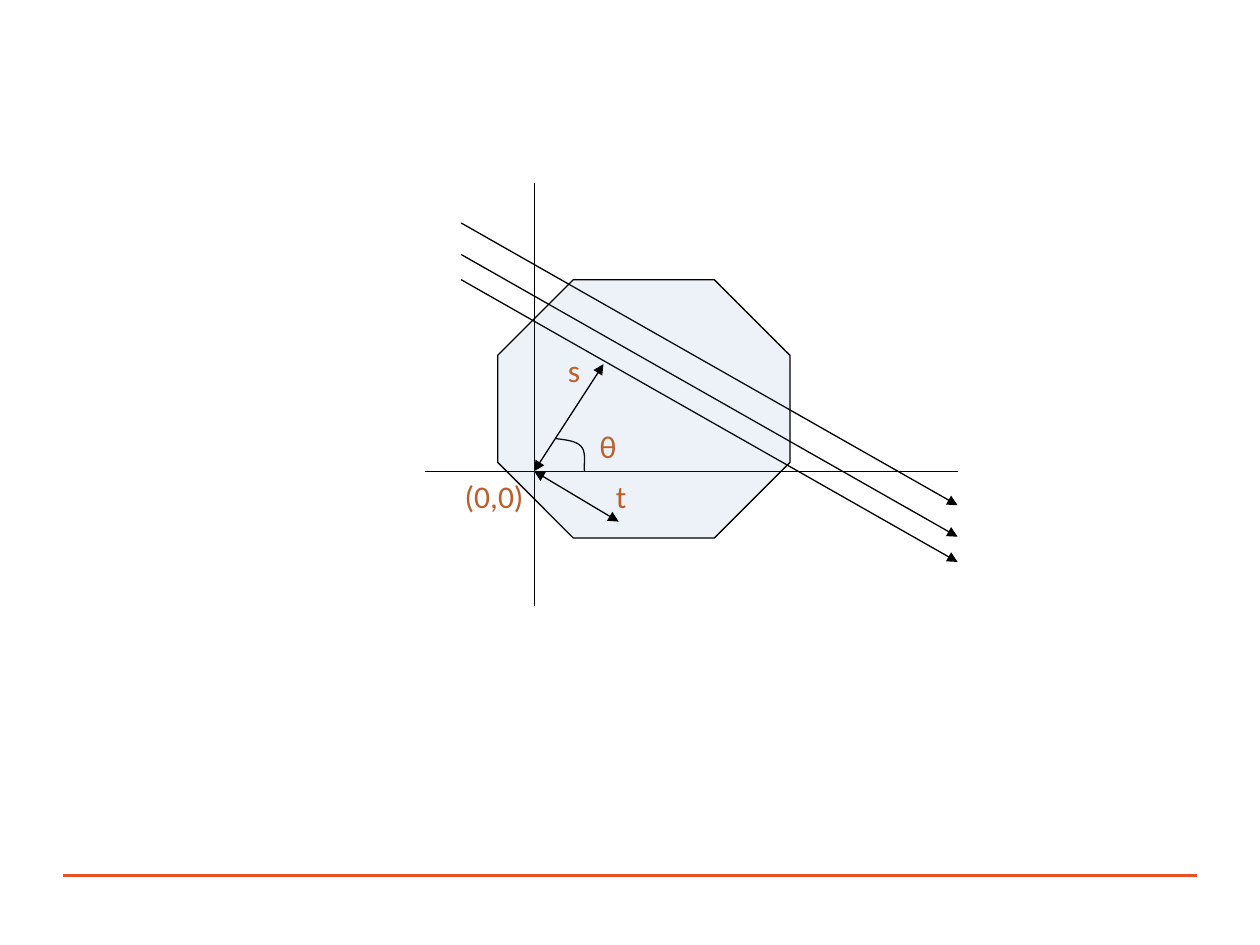
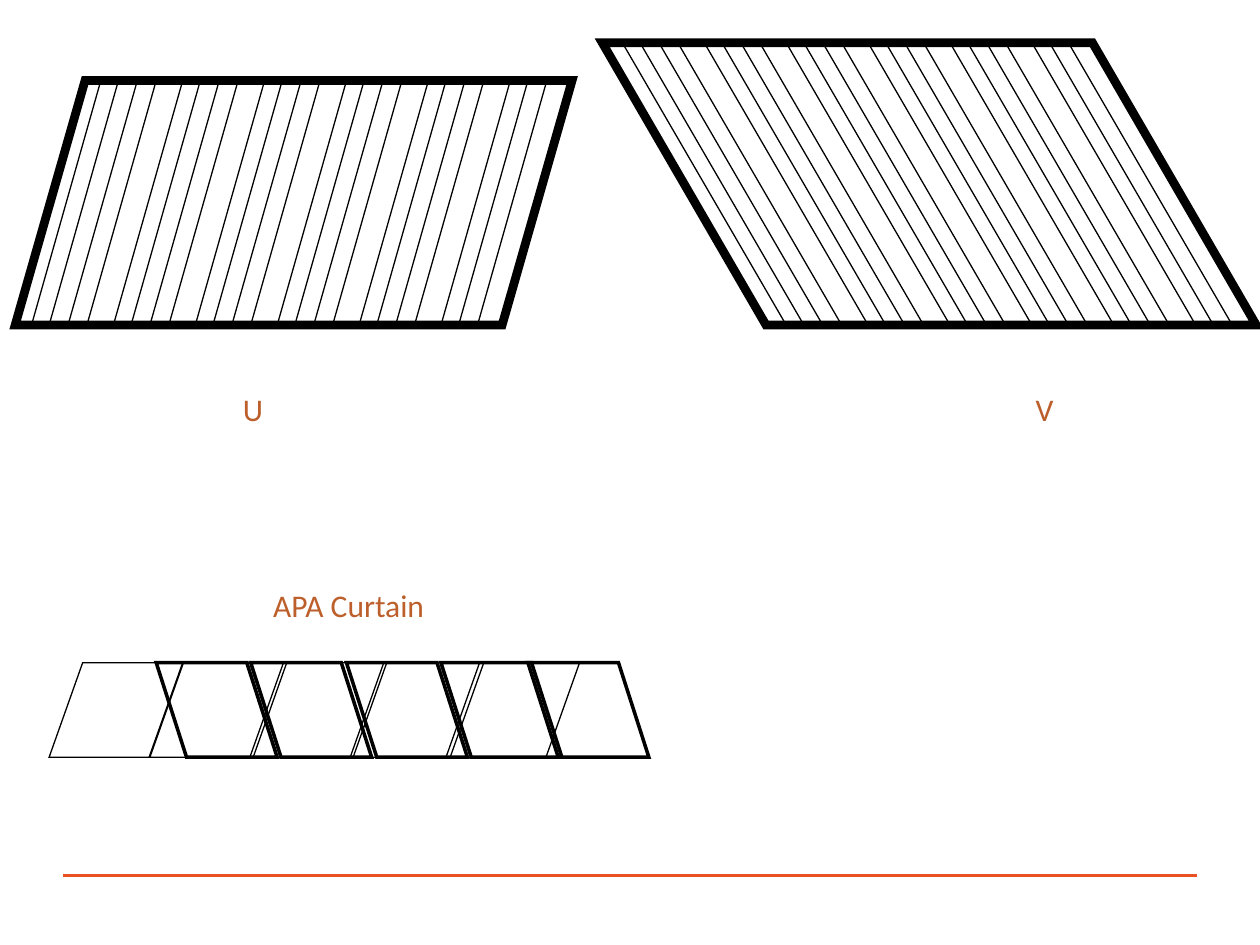
from pptx import Presentation
from pptx.dml.color import RGBColor
from pptx.enum.shapes import MSO_CONNECTOR, MSO_SHAPE
from pptx.enum.text import MSO_AUTO_SIZE
from pptx.oxml.ns import qn
from pptx.util import Inches, Pt
from lxml import etree

STRAIGHT = MSO_CONNECTOR.STRAIGHT
OCTAGON, SLANT = MSO_SHAPE.OCTAGON, MSO_SHAPE.PARALLELOGRAM

COLORS = {"ink": "000000", "label": "BC5F2B", "rule": "E95125", "body": "4F81BD"}
FONT = {"name": "Calibri", "size": Pt(18)}
FRAME = {"word_wrap": True, "auto_size": MSO_AUTO_SIZE.SHAPE_TO_FIT_TEXT}
THIN, BOLD, HEAVY = 0.75, 2, 5
LABEL_H = 0.4

# Slide 1: parallel rays through a body
ORIGIN = (4.24, 3.74)
AXES = [((4.24, 1.45), (4.24, 4.81)), ((3.37, 3.74), (7.6, 3.74))]
RAY_TOPS, RAY_X, RAY_DROP = [1.77, 2.02, 2.22], (3.66, 7.6), 2.24
BODY = (3.95, 2.22, 2.32, 2.05)
ARROW_TIPS = [(4.79, 2.89), (4.91, 4.14)]
ARC = [
    [(4.41, 3.48), (4.45, 3.49), (4.56, 3.49), (4.61, 3.54)],
    [(4.61, 3.54), (4.66, 3.59), (4.63, 3.7), (4.64, 3.74)],
]
RAY_LABELS = [
    ("(0,0)", 3.59, 3.74, 0.83), ("θ", 4.66, 3.34, 0.25),
    ("t", 4.79, 3.74, 0.34), ("s", 4.41, 2.74, 0.24),
]

# Slide 2: hatched panels and the curtain
PANELS = [  # box, adjustment, flipped, first line's x, its shift to the bottom
    ((4.78, 0.34, 5.19, 2.24), 0.58, True, 4.94, 1.3),
    ((0.12, 0.64, 4.42, 1.94), 0.286, False, 0.8, -0.55),
]
HATCH_STEPS, HATCH_PERIOD, HATCH_COUNT = [0, 0.14, 0.29, 0.44], 0.65, 23
CURTAIN_TOP, CURTAIN_H = 5.26, 0.75
FOLDS = [  # lefts, width, adjustment, flipped, line width
    ([1.24, 1.99, 2.75, 3.5, 4.19], 0.96, 0.321, True, BOLD),
    ([0.39, 1.19, 2.01, 2.78, 3.54], 1.06, 0.355, False, THIN),
]
PANEL_LABELS = [
    ("U", 1.83, 3.05, 0.42), ("V", 8.12, 3.05, 0.42),
    ("APA Curtain", 2.07, 4.6, 2.11),
]


def rgb(key):
    return RGBColor.from_string(COLORS[key])


def inches(vals):
    return [Inches(v) for v in vals]


def stroke(item, width=THIN, color="ink"):
    """Colour the outline, and return its XML for further parts."""
    item.line.color.rgb = rgb(color)
    item.line.width = Pt(width)
    return item.element.spPr.find(qn("a:ln"))


def join(slide, start, end, ends=(), width=THIN, color="ink"):
    """Draw a line; ends names the ends that carry an arrowhead."""
    line = slide.shapes.add_connector(STRAIGHT, *inches((*start, *end)))
    ln = stroke(line, width, color)
    for end_name in ends:
        etree.SubElement(ln, qn(f"a:{end_name}End"), type="triangle")
    etree.SubElement(line.element.spPr, qn("a:effectLst"))
    return line


def outline(slide, kind, box, adj, flip=False, width=THIN):
    shape = slide.shapes.add_shape(kind, *inches(box))
    shape.adjustments[0] = adj
    shape.shadow.inherit = False
    shape.fill.background()
    etree.SubElement(stroke(shape, width), qn("a:miter"), lim="800000")
    if flip:
        shape.element.spPr.find(qn("a:xfrm")).set("flipV", "1")
    return shape


def label(slide, text, left, top, width):
    box = slide.shapes.add_textbox(*inches((left, top, width, LABEL_H)))
    frame = box.text_frame
    for key, val in FRAME.items():
        setattr(frame, key, val)
    run = frame.paragraphs[0].add_run()
    run.text = text
    for key, val in FONT.items():
        setattr(run.font, key, val)
    run.font.color.rgb = rgb("label")


def bezier(ctrl, t):
    """Give the point at t on a cubic curve."""
    u = 1 - t
    mix = (u**3, 3 * u * u * t, 3 * u * t * t, t**3)
    return tuple(sum(m * p[i] for m, p in zip(mix, ctrl)) for i in (0, 1))


def draw_arc(slide, steps=10):
    pts = [inches(bezier(ctrl, n / steps)) for ctrl in ARC for n in range(1, steps + 1)]
    path = slide.shapes.build_freeform(*inches(ARC[0][0]))
    path.add_line_segments(pts, close=False)
    arc = path.convert_to_shape()
    arc.shadow.inherit = False
    arc.fill.background()
    stroke(arc)


def draw_rays(slide):
    for start, end in AXES:
        join(slide, start, end)
    left, right = RAY_X
    for top in RAY_TOPS:
        join(slide, (left, top), (right, top + RAY_DROP), ["tail"])
    draw_arc(slide)
    body = outline(slide, OCTAGON, BODY, 0.293)
    body.fill.solid()
    body.fill.fore_color.rgb = rgb("body")
    tint = body.element.spPr.find(qn("a:solidFill"))[0]
    etree.SubElement(tint, qn("a:alpha"), val="10000")
    for tip in ARROW_TIPS:
        join(slide, ORIGIN, tip, ["head", "tail"])
    for item in RAY_LABELS:
        label(slide, *item)


def draw_panels(slide):
    for box, adj, flip, first, shift in PANELS:
        outline(slide, SLANT, box, adj, flip, HEAVY)
        top, base = box[1], box[1] + box[3]
        for n in range(HATCH_COUNT):
            group, step = divmod(n, len(HATCH_STEPS))
            x = first + group * HATCH_PERIOD + HATCH_STEPS[step]
            join(slide, (x, top), (x + shift, base))
    for lefts, wide, adj, flip, width in FOLDS:
        for left in lefts:
            outline(slide, SLANT, (left, CURTAIN_TOP, wide, CURTAIN_H), adj, flip, width)
    for item in PANEL_LABELS:
        label(slide, *item)


def main():
    prs = Presentation()
    prs.slide_width, prs.slide_height = inches((10, 7.5))
    blank = prs.slide_layouts[6]
    rays, panels = (prs.slides.add_slide(blank) for _ in range(2))
    # The footer rule moves to the layout, so both slides share it
    rule = join(rays, (0.5, 6.95), (9.5, 6.95), width=BOLD, color="rule")
    blank.shapes.element.append(rule.element)
    draw_rays(rays)
    draw_panels(panels)
    prs.save("out.pptx")


if __name__ == "__main__":
    main()
